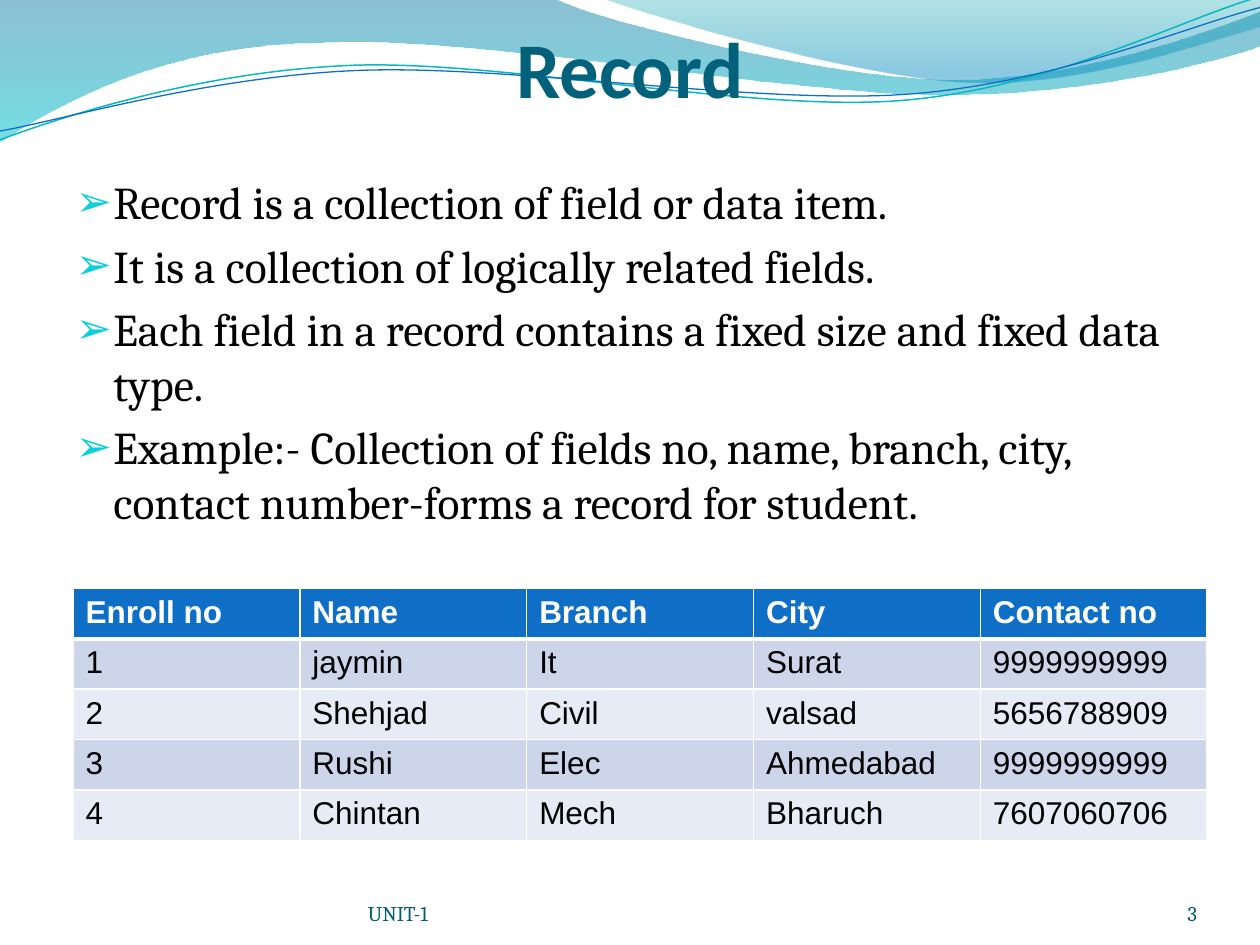
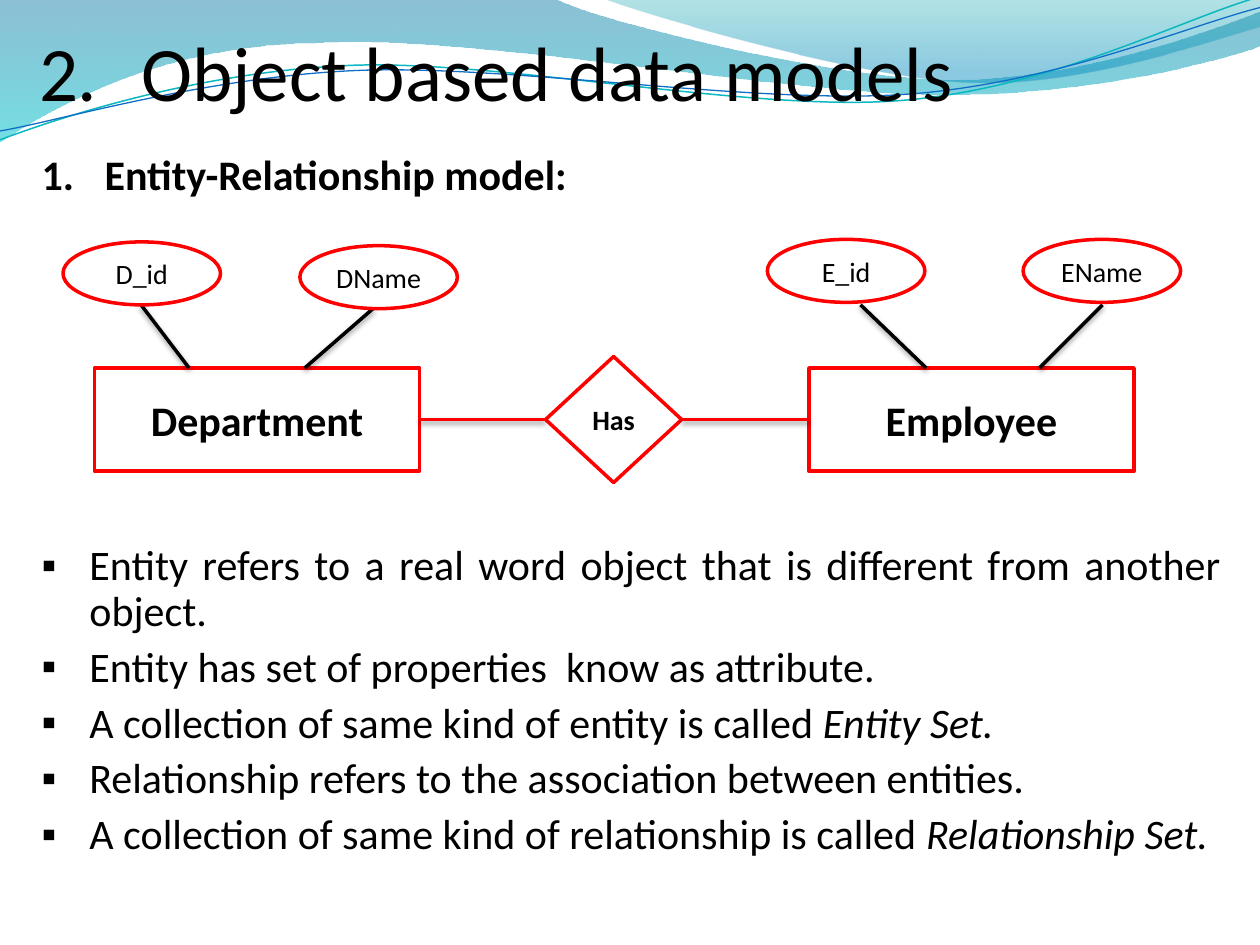
import pptx
import pptx.dml.color
import pptx.enum.shapes
import pptx.enum.text
import pptx.oxml
import pptx.oxml.ns
import pptx.util
from lxml import etree

Inches = pptx.util.Inches
Pt = pptx.util.Pt
qn = pptx.oxml.ns.qn
ALIGN = pptx.enum.text.PP_ALIGN
ANCHOR = pptx.enum.text.MSO_ANCHOR
SHAPE = pptx.enum.shapes.MSO_SHAPE

COLORS = {
    "black": "000000", "white": "FFFFFF", "red": "FF0000",
    "title": "04617B", "footer": "045D75", "bullet": "0BD0D9",
    "header": "0F6FC6", "odd row": "CCD5EA", "even row": "E7EBF5",
    "wave top": "0074A1", "wave bottom": "00C6CF",
    "crest top": "00A1A9", "crest bottom": "008BBF",
    "teal line": "0AB8BF", "blue line": "0F6FC6",
}
FONTS = {
    "record title": {"name": "Calibri", "size": Pt(45), "bold": True},
    "model title": {"name": "Calibri", "size": Pt(44), "bold": False},
    "record list": {"name": "Cambria", "size": Pt(26)},
    "model heading": {"name": "Calibri", "size": Pt(24), "bold": True},
    "model list": {"name": "Calibri", "size": Pt(24), "bold": False},
    "footer": {"name": "Cambria", "size": Pt(12)},
    "table header": {"name": "Arial", "size": Pt(18), "bold": True},
    "table cell": {"name": "Arial", "size": Pt(18), "bold": False},
    "entity": {"name": "Calibri", "size": Pt(24), "bold": True},
    "relationship": {"name": "Calibri", "size": Pt(16), "bold": True},
    "attribute": {"name": "Calibri", "size": Pt(16), "bold": False},
}

# Each outline is a start point followed by segments: two numbers make a
# straight line, six make a Bezier curve.
WAVES = [
    {"start": (0, -0.01), "stops": [("wave top", 0, 45), ("wave bottom", 1, 55)],
     "segments": [
         (4.4, -0.01), (4.76, 0.17, 6.64, 0.63, 7.58, 0.63),
         (8.53, 0.63, 9.58, 0.26, 10, 0.09), (10.01, 0.36),
         (9.83, 0.44, 8.7, 0.76, 7.46, 0.75),
         (6.22, 0.75, 3.82, 0.28, 2.57, 0.34),
         (1.29, 0.35, 0.46, 0.83, -0.01, 1.13)]},
    {"start": (4.79, -0.01), "stops": [("crest top", 0, 30), ("crest bottom", 0.8, 45)],
     "segments": [
         (5.09, 0.11, 6.82, 0.62, 7.69, 0.65),
         (8.56, 0.69, 9.61, 0.32, 10, 0.21), (10, 0)]},
    {"start": (0, 1.11), "line": ("teal line", 0.85), "segments": [
        (0.48, 0.93, 1.58, 0.57, 2.77, 0.52),
        (3.95, 0.47, 5.93, 0.89, 7.13, 0.8),
        (8.33, 0.71, 9.38, 0.15, 9.98, -0.02)]},
    {"start": (0, 1.04), "line": ("blue line", 0.75), "segments": [
        (0.47, 0.96, 1.64, 0.61, 2.83, 0.56),
        (4.03, 0.51, 5.97, 0.83, 7.17, 0.75),
        (8.36, 0.67, 9.41, 0.21, 10, 0.06)]},
]

RECORD_POINTS = [
    "Record is a collection of field or data item.",
    "It is a collection of logically related fields.",
    "Each field in a record contains a fixed size and fixed data type.",
    "Example:- Collection of fields no, name, branch, city, contact number-forms a record for student.",
]
STUDENTS = [
    ("Enroll no", "Name", "Branch", "City", "Contact no"),
    ("1", "jaymin", "It", "Surat", "9999999999"),
    ("2", "Shehjad", "Civil", "valsad", "5656788909"),
    ("3", "Rushi", "Elec", "Ahmedabad", "9999999999"),
    ("4", "Chintan", "Mech", "Bharuch", "7607060706"),
]
# Plain text and the italic term that ends it
MODEL_POINTS = [
    ("Entity refers to a real word object that is different from another object.", ""),
    ("Entity has set of properties  know as attribute.", ""),
    ("A collection of same kind of entity is called ", "Entity Set."),
    ("Relationship refers to the association between entities.", ""),
    ("A collection of same kind of relationship is called ", "Relationship Set."),
]
# Label, left and top of the ellipse, then the ends of its line
ATTRIBUTES = [
    ("D_id", 0.5, 1.92, (1.5, 2.92), (1.12, 2.42)),
    ("DName", 2.38, 1.95, (2.42, 2.92), (2.96, 2.45)),
    ("E_id", 6.09, 1.9, (7.35, 2.92), (6.83, 2.42)),
    ("EName", 8.12, 1.9, (8.25, 2.92), (8.75, 2.42)),
]


def rgb(color):
    return pptx.dml.color.RGBColor.from_string(COLORS[color])


def set_values(target, values):
    for name, value in values.items():
        setattr(target, name, value)


def add_run(paragraph, text, style, color="black", italic=False):
    run = paragraph.add_run()
    run.text = text
    set_values(run.font, {**FONTS[style], "italic": italic})
    run.font.color.rgb = rgb(color)


def set_bullet(paragraph, indent, color, char=None, number=None, percent=100):
    """Give a hanging bullet: a character, or a number to start from."""
    properties = paragraph._p.get_or_add_pPr()
    properties.set("marL", str(Inches(indent)))
    properties.set("indent", str(-Inches(indent)))
    bullet_color = etree.SubElement(properties, qn("a:buClr"))
    etree.SubElement(bullet_color, qn("a:srgbClr"), val=COLORS[color])
    etree.SubElement(properties, qn("a:buSzPct"), val=str(percent * 1000))
    if char:
        etree.SubElement(properties, qn("a:buChar"), char=char)
    else:
        etree.SubElement(properties, qn("a:buAutoNum"), type="arabicPeriod", startAt=str(number))


def place(shape, left, top, width, height):
    set_values(shape, {"left": Inches(left), "top": Inches(top),
                       "width": Inches(width), "height": Inches(height)})


def set_frame(shape, anchor, insets=(0.1, 0.05, 0.1, 0.05), wrap=True):
    """Fix the text frame and return its first paragraph."""
    sides = ("margin_left", "margin_top", "margin_right", "margin_bottom")
    frame = shape.text_frame
    set_values(frame, {side: Inches(inset) for side, inset in zip(sides, insets)})
    set_values(frame, {"vertical_anchor": anchor, "word_wrap": wrap,
                       "auto_size": pptx.enum.text.MSO_AUTO_SIZE.NONE})
    return frame.paragraphs[0]


def add_outline(slide, start, segments, close):
    """Build a freeform in hundredths of an inch, then bend its curved segments."""
    numbers = [round(value * 100) for segment in (start, *segments) for value in segment]
    points = list(zip(numbers[::2], numbers[1::2]))
    builder = slide.shapes.build_freeform(*points[0], scale=Inches(0.01))
    builder.add_line_segments(points[1:], close=close)
    shape = builder.convert_to_shape()
    straight = iter(list(shape.element.iter(qn("a:lnTo"))))
    for segment in segments:
        steps = [next(straight) for _ in range(len(segment) // 2)]
        if len(steps) == 3:
            curve = etree.Element(qn("a:cubicBezTo"))
            steps[0].addprevious(curve)
            for step in steps:
                curve.append(step[0])
                step.getparent().remove(step)
    return shape


def fill_gradient(shape, stops):
    shape.fill.gradient()
    shape.fill.gradient_angle = 270
    for stop, (color, position, _) in zip(shape.fill.gradient_stops, stops):
        stop.color.rgb = rgb(color)
        stop.position = position
    for element, (_, _, opacity) in zip(shape.element.iter(qn("a:srgbClr")), stops):
        etree.SubElement(element, qn("a:alpha"), val=str(opacity * 1000))
    shape.line.fill.background()


def add_waves_to_master(presentation, slide):
    """Draw the waves on a slide, then move them behind the master's placeholders."""
    for index, wave in enumerate(WAVES):
        shape = add_outline(slide, wave["start"], wave["segments"], "stops" in wave)
        shape.shadow.inherit = False
        if "stops" in wave:
            fill_gradient(shape, wave["stops"])
        else:
            color, width = wave["line"]
            shape.fill.background()
            shape.line.color.rgb = rgb(color)
            shape.line.width = Pt(width)
        shape.element.nvSpPr.cNvPr.id = 20 + index
        presentation.slide_master.shapes.element.insert(2 + index, shape.element)


def add_footer(slide, text, box, align):
    shape = slide.shapes.add_textbox(0, 0, 0, 0)
    place(shape, *box)
    paragraph = set_frame(shape, ANCHOR.BOTTOM, (0, 0, 0, 0))
    paragraph.alignment = align
    add_run(paragraph, text, "footer", "footer")


def set_borders(cell, bottom):
    properties = cell._tc.get_or_add_tcPr()
    for index, (side, width) in enumerate(
            [("lnL", 1), ("lnR", 1), ("lnT", 1), ("lnB", bottom)]):
        border = etree.Element(qn("a:" + side), w=str(Pt(width)))
        fill = etree.SubElement(border, qn("a:solidFill"))
        etree.SubElement(fill, qn("a:srgbClr"), val=COLORS["white"])
        properties.insert(index, border)


def add_student_table(slide):
    table = slide.shapes.add_table(len(STUDENTS), len(STUDENTS[0]), Inches(0.58),
                                   Inches(4.67), Inches(9), Inches(2)).table
    for row, values in enumerate(STUDENTS):
        header = row == 0
        fill = "header" if header else ("odd row" if row % 2 else "even row")
        for column, value in enumerate(values):
            cell = table.cell(row, column)
            cell.fill.solid()
            cell.fill.fore_color.rgb = rgb(fill)
            set_borders(cell, 3 if header else 1)
            add_run(cell.text_frame.paragraphs[0], value,
                    "table header" if header else "table cell",
                    "white" if header else "black")


def add_node(slide, kind, text, style, box):
    """Add a red outlined part of the diagram with a centred label."""
    shape = slide.shapes.add_shape(kind, 0, 0, 0, 0)
    place(shape, *box)
    shape.shadow.inherit = False
    shape.fill.background()
    shape.line.color.rgb = rgb("red")
    shape.line.width = Pt(2)
    paragraph = set_frame(shape, ANCHOR.MIDDLE, wrap=False)
    paragraph.alignment = ALIGN.CENTER
    add_run(paragraph, text, style)
    return shape


def add_line(slide, color, start=(0, 0), end=(0, 0)):
    ends = [Inches(value) for value in (*start, *end)]
    line = slide.shapes.add_connector(pptx.enum.shapes.MSO_CONNECTOR.STRAIGHT, *ends)
    line.line.color.rgb = rgb(color)
    line.line.width = Pt(2)
    effects = etree.SubElement(line.element.spPr, qn("a:effectLst"))
    shadow = etree.SubElement(effects, qn("a:outerShdw"), blurRad=str(Pt(3.1)),
                              dist=str(Pt(1.6)), dir="5400000", rotWithShape="0")
    shade = etree.SubElement(shadow, qn("a:srgbClr"), val=COLORS["black"])
    etree.SubElement(shade, qn("a:alpha"), val="38000")
    return line


def add_entity_diagram(slide):
    department, employee = [
        add_node(slide, SHAPE.RECTANGLE, name, "entity", (left, 2.92, 2.58, 0.82))
        for name, left in (("Department", 0.75), ("Employee", 6.42))]
    has = add_node(slide, SHAPE.FLOWCHART_DECISION, "Has", "relationship", (4.33, 2.83, 1.08, 1))
    for left_node, right_node in ((department, has), (has, employee)):
        line = add_line(slide, "red")
        line.begin_connect(left_node, 3)
        line.end_connect(right_node, 1)
    for name, left, top, start, end in ATTRIBUTES:
        add_line(slide, "black", start, end)
        add_node(slide, SHAPE.OVAL, name, "attribute", (left, top, 1.25, 0.5))


def fill_record_slide(slide):
    title, body = slide.placeholders
    place(title, 0.5, 0.33, 9, 0.58)
    paragraph = set_frame(title, ANCHOR.BOTTOM, (0, 0.05, 0, 0))
    paragraph.alignment = ALIGN.CENTER
    add_run(paragraph, "Record", "record title", "title")

    place(body, 0.5, 1.33, 9, 5.58)
    paragraph = set_frame(body, ANCHOR.TOP)
    for index, text in enumerate(RECORD_POINTS):
        paragraph = body.text_frame.add_paragraph() if index else paragraph
        paragraph.space_before = Pt(5.2)
        set_bullet(paragraph, 0.3, "bullet", char="➢", percent=95)
        add_run(paragraph, text, "record list")

    add_student_table(slide)
    add_footer(slide, "UNIT-1", (2.92, 6.95, 3.67, 0.4), ALIGN.LEFT)
    add_footer(slide, "3", (8.67, 6.95, 0.83, 0.4), ALIGN.RIGHT)


def fill_model_slide(slide):
    title, body = slide.placeholders
    place(title, 0.21, 0.12, 9.58, 0.88)
    paragraph = set_frame(title, ANCHOR.MIDDLE)
    paragraph.alignment = ALIGN.LEFT
    set_bullet(paragraph, 0.81, "black", number=2)
    add_run(paragraph, "Object based data models", "model title")

    place(body, 0.21, 1.17, 9.58, 5.83)
    heading = set_frame(body, ANCHOR.TOP, (0.12, 0.05, 0.1, 0.05))
    layout = {"alignment": ALIGN.JUSTIFY, "line_spacing": 0.9}
    set_values(heading, {**layout, "space_before": Pt(0)})
    set_bullet(heading, 0.5, "black", number=1)
    add_run(heading, "Entity-Relationship model:", "model heading")
    for index, (text, term) in enumerate(MODEL_POINTS):
        paragraph = body.text_frame.add_paragraph()
        # The first point leaves room for the diagram above it.
        set_values(paragraph, {**layout, "space_before": Pt(6 if index else 197.5)})
        set_bullet(paragraph, 0.38, "black", char="▪")
        add_run(paragraph, text, "model list")
        if term:
            add_run(paragraph, term, "model list", italic=True)

    add_entity_diagram(slide)


def main():
    presentation = pptx.Presentation()
    presentation.slide_width = Inches(10)
    presentation.slide_height = Inches(7.5)
    layout = presentation.slide_layouts[1]
    record_slide, model_slide = [presentation.slides.add_slide(layout) for _ in range(2)]
    add_waves_to_master(presentation, record_slide)
    fill_record_slide(record_slide)
    fill_model_slide(model_slide)
    presentation.save("out.pptx")


if __name__ == "__main__":
    main()
